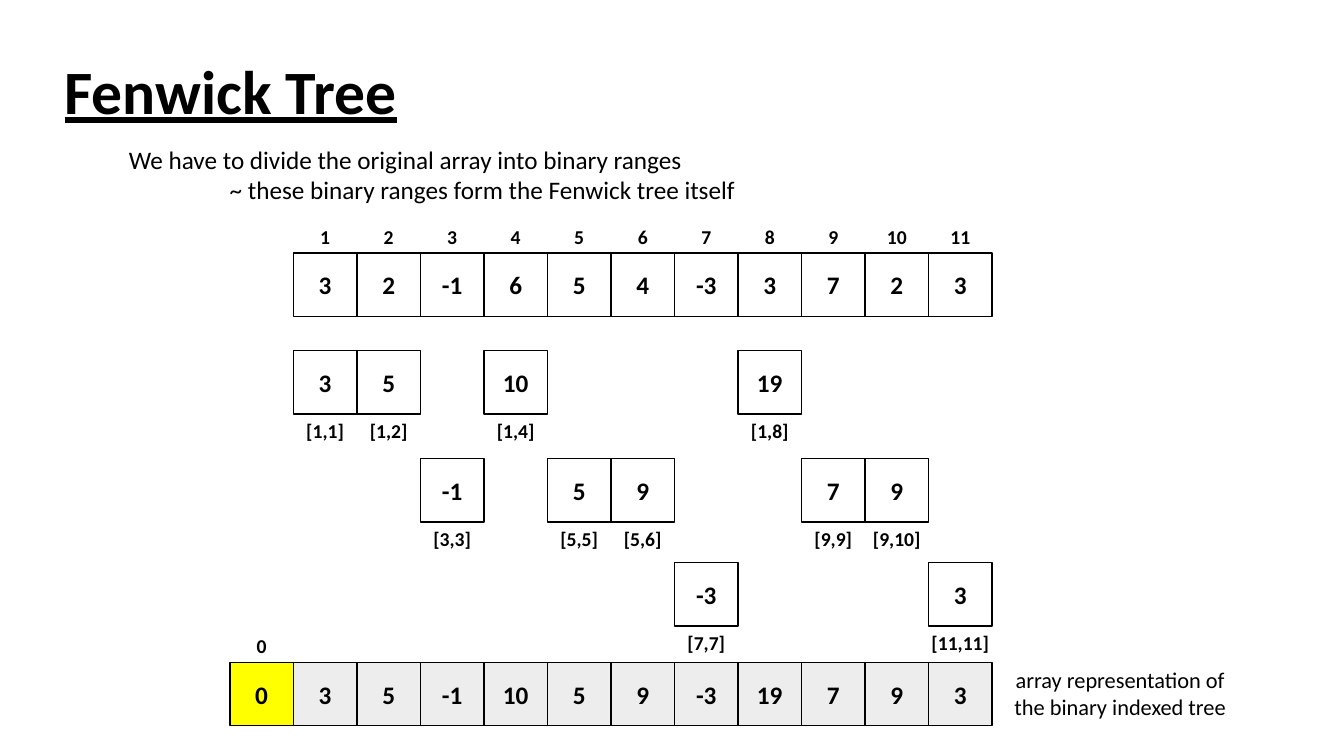
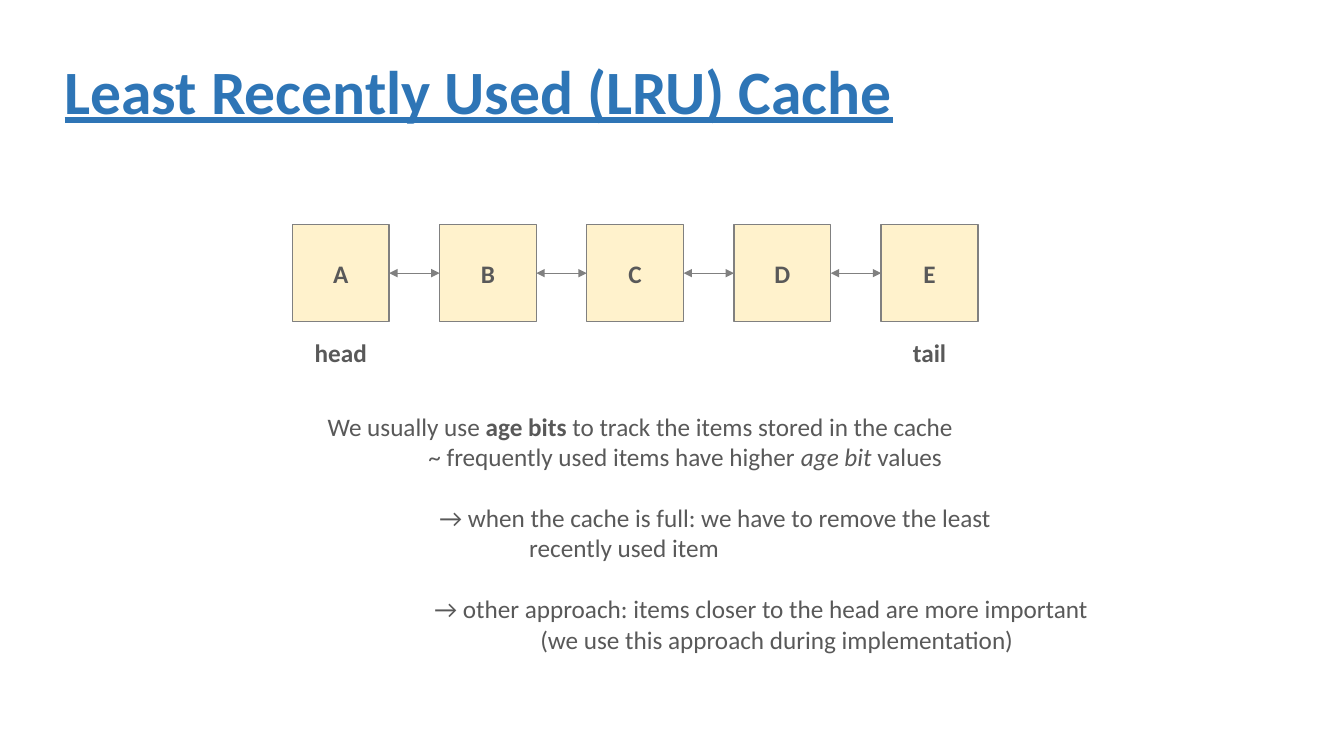
"""Build two slides about the Fenwick tree and the LRU cache."""
from lxml import etree
from pptx import Presentation
from pptx.dml.color import RGBColor
from pptx.enum import shapes, text
from pptx.oxml import ns
from pptx.util import Inches, Pt

BLACK = RGBColor(0x00, 0x00, 0x00)
WHITE = RGBColor(0xFF, 0xFF, 0xFF)
SILVER = RGBColor(0xED, 0xED, 0xED)
YELLOW = RGBColor(0xFF, 0xFF, 0x00)
BLUE = RGBColor(0x2E, 0x75, 0xB6)
CREAM = RGBColor(0xFF, 0xF2, 0xCC)
GREY = RGBColor(0x80, 0x80, 0x80)
CHARCOAL = RGBColor(0x59, 0x59, 0x59)

FONT = "Calibri"
LEFT, CENTER = text.PP_ALIGN.LEFT, text.PP_ALIGN.CENTER
BOLD, ITALIC = {"bold": True}, {"italic": True}
LINE_GAP = 22

ARRAY = [3, 2, -1, 6, 5, 4, -3, 3, 7, 2, 3]
CELL = 0.63
ZERO_LEFT = 2.28
ARRAY_TOP = 2.51
TREE_TOPS = [3.48, 4.55, 5.58]
RESULT_TOP = 6.57
LABEL_WIDTH, LABEL_HEIGHT = 0.8, 0.34

NODE = 0.96
NODE_LEFT, NODE_TOP, NODE_PITCH = 2.9, 2.23, 1.46


class Deck:
    """Holds the shared style and the current page."""

    def __init__(self):
        self.show = Presentation()
        self.show.slide_width = Inches(13.33)
        self.show.slide_height = Inches(7.5)
        self.page = None
        self.ink = BLACK

    def add_page(self, heading, title_color, ink):
        self.page = self.show.slides.add_slide(self.show.slide_layouts[5])
        self.ink = ink
        title = self.page.shapes.title
        place = {"left": 0.54, "top": 0.21, "width": 11.5, "height": 1.45}
        for name, length in place.items():
            setattr(title, name, Inches(length))
        title.text_frame.auto_size = text.MSO_AUTO_SIZE.NONE
        title.text_frame.vertical_anchor = text.MSO_ANCHOR.MIDDLE
        para = title.text_frame.paragraphs[0]
        para.alignment, para.line_spacing = LEFT, 0.9
        self.span(para, heading, 44, title_color, bold=True, underline=True)

    def span(self, para, words, size, color=None, **formats):
        span = para.add_run()
        span.text = words
        span.font.color.rgb = self.ink if color is None else color
        for name, value in {"name": FONT, "size": Pt(size), **formats}.items():
            setattr(span.font, name, value)

    def square(self, left, top, side, words, fill, line):
        box = self.page.shapes.add_shape(
            shapes.MSO_SHAPE.RECTANGLE, *map(Inches, (left, top, side, side)))
        box.shadow.inherit = False
        box.fill.solid()
        box.fill.fore_color.rgb = fill
        box.line.color.rgb = line
        box.line.width = Pt(1)
        box.text_frame.vertical_anchor = text.MSO_ANCHOR.MIDDLE
        para = box.text_frame.paragraphs[0]
        para.alignment = CENTER
        self.span(para, words, 18, bold=True)
        return box

    def textbox(self, left, top, width, height, lines, size=18, align=LEFT):
        """Add lines, each given as (indent, space before, spans)."""
        box = self.page.shapes.add_textbox(
            *map(Inches, (left, top, width, height)))
        frame = box.text_frame
        frame.word_wrap = True
        for number, (indent, gap, spans) in enumerate(lines):
            para = frame.add_paragraph() if number else frame.paragraphs[0]
            para.alignment = align
            para.space_before = Pt(gap)
            if indent:
                para._p.get_or_add_pPr().set("marL", str(Inches(indent)))
            for words, formats in spans:
                self.span(para, words, size, **formats)

    def label(self, center, top, words, size=14, height=LABEL_HEIGHT):
        self.textbox(center - LABEL_WIDTH / 2, top, LABEL_WIDTH, height,
                     [(0, 0, [(words, BOLD)])], size, CENTER)

    def double_arrow(self, start, end):
        arrow = self.page.shapes.add_connector(
            shapes.MSO_CONNECTOR.STRAIGHT, 0, 0, 0, 0)
        arrow.begin_connect(start, 3)
        arrow.end_connect(end, 1)
        arrow.line.color.rgb = GREY
        arrow.line.width = Pt(0.5)
        line = arrow.line._get_or_add_ln()
        for tag in ("a:headEnd", "a:tailEnd"):
            etree.SubElement(line, ns.qn(tag), type="triangle")
        etree.SubElement(arrow._element.spPr, ns.qn("a:effectLst"))


def fenwick_page(deck):
    deck.add_page("Fenwick Tree", BLACK, BLACK)
    deck.textbox(1.18, 1.38, 6.5, 0.71, [
        (0, 0, [("We have to divide the original array into binary ranges", {})]),
        (1, 0, [("~ these binary ranges form the Fenwick tree itself", {})]),
    ])
    for index, value in enumerate(ARRAY, 1):
        left = ZERO_LEFT + index * CELL
        center = left + CELL / 2
        first = index - (index & -index) + 1
        total = str(sum(ARRAY[first - 1:index]))
        tree_top = TREE_TOPS[bin(index).count("1") - 1]
        deck.label(center, ARRAY_TOP - LABEL_HEIGHT + 0.01, str(index))
        deck.square(left, ARRAY_TOP, CELL, str(value), WHITE, BLACK)
        deck.square(left, tree_top, CELL, total, WHITE, BLACK)
        deck.label(center, tree_top + CELL, f"[{first},{index}]")
        deck.square(left, RESULT_TOP, CELL, total, SILVER, BLACK)
    deck.square(ZERO_LEFT, RESULT_TOP, CELL, "0", YELLOW, BLACK)
    deck.label(ZERO_LEFT + CELL / 2, RESULT_TOP - LABEL_HEIGHT + 0.01, "0")
    deck.textbox(9.9, 6.56, 2.42, 0.64, [
        (0, 0, [("array representation of", {})]),
        (0, 0, [("the binary indexed tree", {})]),
    ], 16, CENTER)


def cache_page(deck):
    deck.add_page("Least Recently Used (LRU) Cache", BLUE, CHARCOAL)
    nodes = [deck.square(NODE_LEFT + index * NODE_PITCH, NODE_TOP, NODE,
                         letter, CREAM, GREY)
             for index, letter in enumerate("ABCDE")]
    for start, end in zip(nodes, nodes[1:]):
        deck.double_arrow(start, end)
    for index, words in ((0, "head"), (len(nodes) - 1, "tail")):
        center = NODE_LEFT + index * NODE_PITCH + NODE / 2
        deck.label(center, 3.3, words, 18, 0.4)
    deck.textbox(3.15, 4.03, 7.85, 2.52, [
        (0, 0, [("We usually use ", {}), ("age bits ", BOLD),
                ("to track the items stored in the cache", {})]),
        (1, 0, [("~ frequently used items have higher ", {}),
                ("age bit ", ITALIC), ("values", {})]),
        (1.11, LINE_GAP,
         [("→ when the cache is full: we have to remove the least", {})]),
        (2, 0, [("recently used item", {})]),
        (1.06, LINE_GAP,
         [("→ other approach: items closer to the head are more important", {})]),
        (2.11, 0, [("(we use this approach during implementation)", {})]),
    ])


def main():
    deck = Deck()
    fenwick_page(deck)
    cache_page(deck)
    deck.show.save("out.pptx")


if __name__ == "__main__":
    main()
